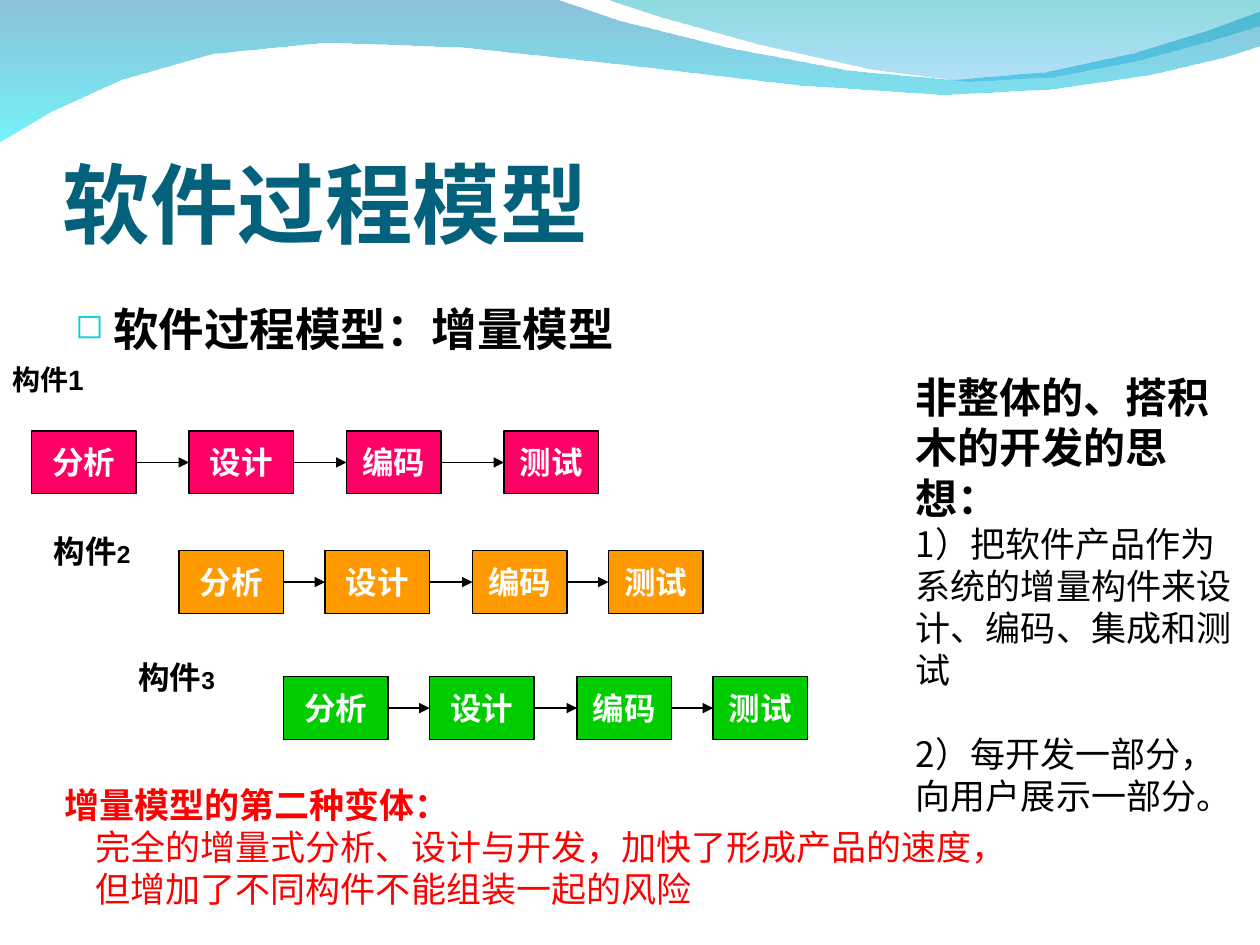
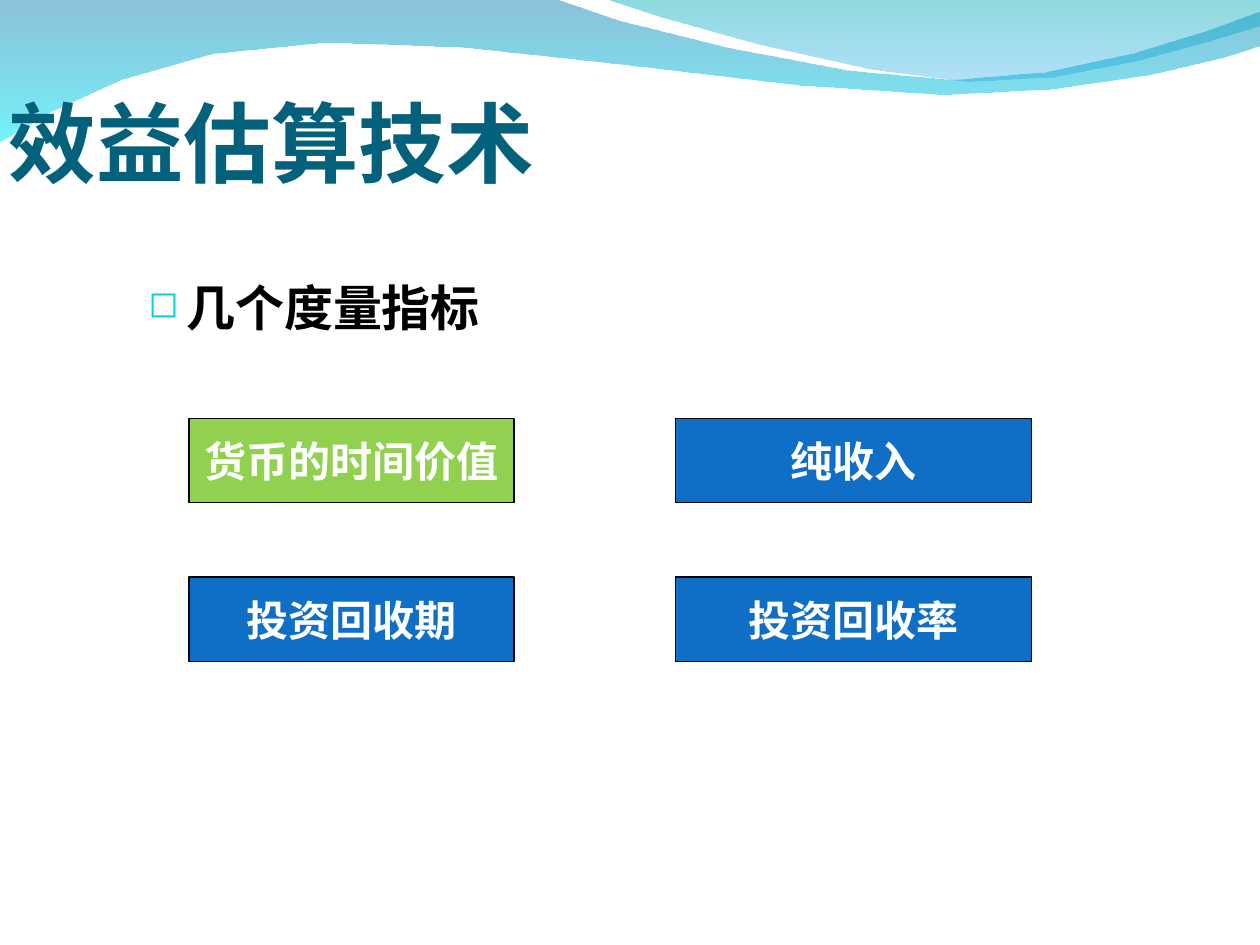
import itertools

import lxml.etree
import pptx
import pptx.dml.color
import pptx.enum.dml
import pptx.enum.shapes
import pptx.enum.text
import pptx.oxml.ns
import pptx.util

Inches = pptx.util.Inches
Pt = pptx.util.Pt
qn = pptx.oxml.ns.qn
Anchor = pptx.enum.text.MSO_ANCHOR
AutoSize = pptx.enum.text.MSO_AUTO_SIZE

BLACK, WHITE, RED = "000000", "FFFFFF", "FF0000"
TITLE_COLOR, BULLET_COLOR = "04617B", "0BD0D9"
BLUE, LIME = "0F6FC6", "92D050"
CJK_FONT = "Noto Sans CJK SC"

LEFT_WAVE = [
    [(0, -0.01)], [(4.4, -0.01)],
    [(4.76, 0.17), (6.64, 0.63), (7.58, 0.63)],
    [(8.53, 0.63), (9.58, 0.26), (10, 0.09)],
    [(10.01, 0.36)],
    [(9.83, 0.44), (8.7, 0.76), (7.46, 0.75)],
    [(6.22, 0.75), (3.82, 0.28), (2.57, 0.34)],
    [(1.29, 0.35), (0.46, 0.83), (-0.01, 1.13)],
]
RIGHT_WAVE = [
    [(4.79, -0.01)],
    [(5.09, 0.11), (6.82, 0.62), (7.69, 0.65)],
    [(8.56, 0.69), (9.61, 0.32), (10, 0.21)],
    [(10, 0)],
]
WAVES = [
    (LEFT_WAVE, [("0079AF", 45), ("00EBF8", 55)]),
    (RIGHT_WAVE, [("00ADB6", 45), ("009BE5", 30)]),
]


def rgb(color):
    return pptx.dml.color.RGBColor.from_string(color)


def flatten(segments, steps=4):
    points = []
    for segment in segments:
        if len(segment) == 1:
            points += segment
            continue
        corners = [points[-1], *segment]
        for step in range(1, steps + 1):
            t = step / steps
            weights = ((1 - t) ** 3, 3 * t * (1 - t) ** 2, 3 * t * t * (1 - t), t ** 3)
            points.append(tuple(sum(w * corner[axis] for w, corner in zip(weights, corners))
                                for axis in (0, 1)))
    return points


class Painter:
    """Holds the shared style and draws on the current slide."""

    def __init__(self):
        self.deck = pptx.Presentation()
        self.deck.slide_width, self.deck.slide_height = Inches(10), Inches(7.5)
        self.page = None

    def new_page(self, title, *place):
        self.page = self.deck.slides.add_slide(self.deck.slide_layouts[6])
        for segments, stops in WAVES:
            self.wave(segments, stops)
        box = self.text(place, [title], 50, TITLE_COLOR, CJK_FONT, fit=False)
        frame = box.text_frame
        frame.vertical_anchor = Anchor.BOTTOM
        frame.margin_left = frame.margin_right = frame.margin_bottom = 0

    def wave(self, segments, stops):
        start, *rest = [(Inches(x), Inches(y)) for x, y in flatten(segments)]
        builder = self.page.shapes.build_freeform(*start)
        builder.add_line_segments(rest, close=True)
        shape = builder.convert_to_shape()
        shape.shadow.inherit = False
        shape.line.fill.background()
        shape.fill.gradient()
        shape.fill.gradient_angle = 270
        for stop, (color, opacity) in zip(shape.fill.gradient_stops, stops):
            stop.color.rgb = rgb(color)
        for node, (color, opacity) in zip(shape._element.iter(qn("a:srgbClr")), stops):
            lxml.etree.SubElement(node, qn("a:alpha"), val=str(opacity * 1000))

    def style(self, span, size, color, font="Arial", bold=True):
        span.font.size = Pt(size)
        span.font.bold = bold
        span.font.name = font
        span.font.color.rgb = rgb(color)
        lxml.etree.SubElement(span.font._element, qn("a:ea"), typeface=CJK_FONT)

    def text(self, place, lines, size, color=BLACK, font="Arial", rest_size=None, fit=True):
        box = self.page.shapes.add_textbox(*map(Inches, place))
        frame = box.text_frame
        frame.word_wrap = True
        frame.auto_size = AutoSize.SHAPE_TO_FIT_TEXT if fit else AutoSize.NONE
        frame.text = "\n".join(lines)
        for index, para in enumerate(frame.paragraphs):
            line_size = rest_size if index and rest_size else size
            for span in para.runs:
                self.style(span, line_size, color, font, bold=index == 0)
        return box

    def bullet(self, place, line, size, space, font="Arial", fit=True):
        para = self.text(place, [line], size, font=font, fit=fit).text_frame.paragraphs[0]
        para.line_spacing = 1.5
        para.space_before = Pt(space)
        properties = para._p.get_or_add_pPr()
        properties.set("marL", str(Inches(0.3)))
        properties.set("indent", str(Inches(-0.3)))
        color = lxml.etree.SubElement(properties, qn("a:buClr"))
        lxml.etree.SubElement(color, qn("a:srgbClr"), val=BULLET_COLOR)
        lxml.etree.SubElement(properties, qn("a:buSzPct"), val="75000")
        lxml.etree.SubElement(properties, qn("a:buChar"), char="◻")

    def label(self, place, number, size, number_size, space):
        para = self.text(place, ["构件"], size).text_frame.paragraphs[0]
        para.space_before = Pt(space)
        span = para.add_run()
        span.text = number
        self.style(span, number_size, BLACK)

    def block(self, place, caption, fill, size=18, font="Arial"):
        box = self.page.shapes.add_shape(pptx.enum.shapes.MSO_SHAPE.RECTANGLE,
                                         *map(Inches, place))
        box.shadow.inherit = False
        box.fill.solid()
        box.fill.fore_color.rgb = rgb(fill)
        box.line.color.rgb = rgb(BLACK)
        box.line.width = Pt(0.75)
        frame = box.text_frame
        frame.word_wrap = False
        frame.vertical_anchor = Anchor.MIDDLE
        frame.text = caption
        para = frame.paragraphs[0]
        para.alignment = pptx.enum.text.PP_ALIGN.CENTER
        self.style(para.runs[0], size, WHITE, font)
        return box

    def arrow(self, source, target):
        line = self.page.shapes.add_connector(pptx.enum.shapes.MSO_CONNECTOR.STRAIGHT, 0, 0, 0, 0)
        line.begin_connect(source, 3)
        line.end_connect(target, 1)
        line.line.color.rgb = rgb(BLACK)
        line.line.width = Pt(0.75)
        lxml.etree.SubElement(line.line._get_or_add_ln(), qn("a:tailEnd"), type="triangle")
        lxml.etree.SubElement(line._element.spPr, qn("a:effectLst"))

    def flow(self, left, top, offsets, fill):
        stages = zip(("分析", "设计", "编码", "测试"), offsets, (0.83, 0.83, 0.75, 0.75))
        boxes = [self.block((left + offset, top, width, 0.5), stage, fill)
                 for stage, offset, width in stages]
        for source, target in itertools.pairwise(boxes):
            self.arrow(source, target)


def draw_process_model(painter):
    painter.new_page("软件过程模型", 0.5, 0.77, 9, 1.25)
    painter.bullet((0.5, 2.12, 9, 4.8), "软件过程模型：增量模型", 26, 6.5,
                   "TeX Gyre Pagella", fit=False)

    wide, narrow = (0, 1.25, 2.5, 3.75), (0, 1.16, 2.33, 3.41)
    painter.flow(0.25, 3.42, wide, "FF0066")
    painter.flow(1.42, 4.37, narrow, "FF9900")
    painter.flow(2.25, 5.37, narrow, "00CC00")
    painter.label((0, 2.83, 0.83, 0.37), "1", 16, 16, 10)
    painter.label((0.33, 4.17, 0.81, 0.64), "2", 18, 14, 8.8)
    painter.label((1, 5.17, 0.89, 0.4), "3", 18, 14, 8.8)

    variant = painter.text((0.41, 6.17, 8.42, 1.1), [
        "增量模型的第二种变体：",
        "完全的增量式分析、设计与开发，加快了形成产品的速度，",
        "但增加了不同构件不能组装一起的风险",
    ], 20, RED)
    for para in variant.text_frame.paragraphs[1:]:
        para._p.get_or_add_pPr().set("indent", str(Inches(0.25)))

    idea = painter.text((7.17, 2.9, 2.75, 3.24), [
        "非整体的、搭积木的开发的思\v想：",
        "1）把软件产品作为系统的增量构件来设计、编码、集成和测试",
        "2）每开发一部分，向用户展示一部分。",
    ], 24, font=CJK_FONT, rest_size=20)
    idea.text_frame.paragraphs[2].space_before = Pt(24)


def draw_benefit_estimation(painter):
    painter.new_page("效益估算技术", 0.07, 0.31, 9.43, 1.23)
    painter.bullet((1.08, 1.92, 3.33, 0.8), "几个度量指标", 28, 7)
    metrics = [("货币的时间价值", "纯收入"), ("投资回收期", "投资回收率")]
    columns = [(1.5, 2.58), (5.36, 2.83)]
    for row, captions in enumerate(metrics):
        for caption, (left, width) in zip(captions, columns):
            fill = LIME if caption == "货币的时间价值" else BLUE
            painter.block((left, 3.32 + 1.26 * row, width, 0.67), caption, fill, 24, "Cabin")


def main():
    painter = Painter()
    draw_process_model(painter)
    draw_benefit_estimation(painter)
    painter.deck.save("out.pptx")


if __name__ == "__main__":
    main()
